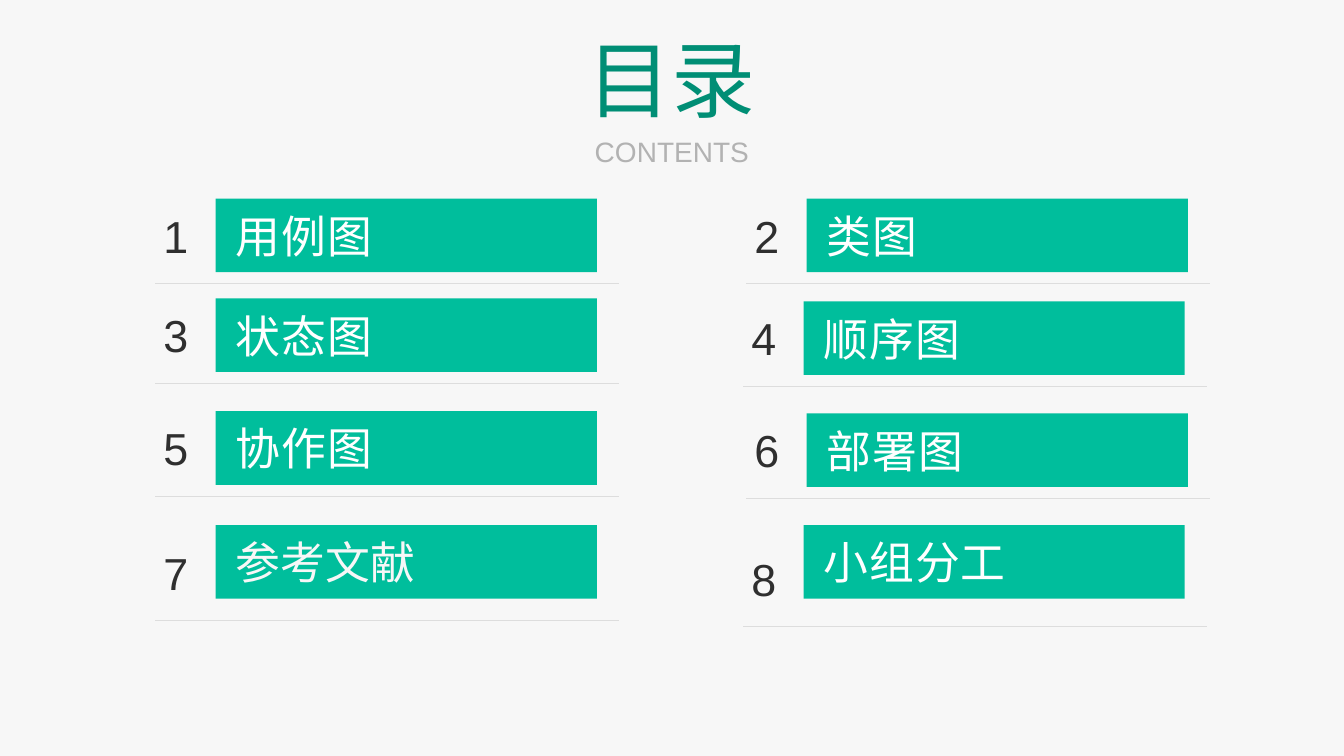
from pptx import Presentation
from pptx.dml.color import RGBColor
from pptx.enum.shapes import MSO_CONNECTOR as Connector, MSO_SHAPE as Shape
from pptx.enum.text import MSO_ANCHOR as Anchor, MSO_AUTO_SIZE as AutoSize, PP_ALIGN as Align
from pptx.oxml.ns import qn
from pptx.util import Inches, Pt

COLORS = {
    "background": "F7F7F7",
    "bar": "00BE9C",
    "title": "008E75",
    "subtitle": "B2B2B2",
    "number": "2F2F2F",
    "label": "FFFFFF",
    "last_label": "F7F7F7",
    "rule": "DDDDDD",
}

# Number, label, bar left and top, and how far the number box sits below the bar top.
# Positions are percentages of the slide width and height.
ENTRIES = [
    ("1", "用例图", 16.05, 26.27, -0.3),
    ("2", "类图", 60.02, 26.27, -0.3),
    ("3", "状态图", 16.05, 39.47, -0.3),
    ("4", "顺序图", 59.79, 39.87, -0.3),
    ("5", "协作图", 16.05, 54.4, -0.3),
    ("6", "部署图", 60.02, 54.67, -0.3),
    ("7", "参考文献", 16.05, 69.47, 1.07, "last_label", 0),
    ("8", "小组分工", 59.79, 69.47, 1.87),
]


class ContentsSlide:
    font_name = "Arial"

    def __init__(self, presentation):
        self.width = presentation.slide_width
        self.height = presentation.slide_height
        self.slide = presentation.slides.add_slide(presentation.slide_layouts[5])
        fill = self.slide.background.fill
        fill.solid()
        fill.fore_color.rgb = self.color("background")

    def color(self, name):
        return RGBColor.from_string(COLORS[name])

    def box(self, left, top, width, height):
        """Turn percentages of the slide into lengths."""
        return (int(self.width * left / 100), int(self.height * top / 100),
                int(self.width * width / 100), int(self.height * height / 100))

    def set_text(self, shape, text, size, color, align=Align.CENTER,
                 anchor=Anchor.TOP, indent=0, line_spacing=1.0, tracking=0):
        frame = shape.text_frame
        frame.text = text
        frame.word_wrap = True
        frame.auto_size = AutoSize.NONE
        frame.vertical_anchor = anchor
        frame.margin_left = Inches(indent)
        frame.margin_top = frame.margin_right = frame.margin_bottom = 0
        paragraph = frame.paragraphs[0]
        paragraph.alignment = align
        paragraph.line_spacing = line_spacing
        font = paragraph.runs[0].font
        font.name = self.font_name
        font.size = Pt(size)
        font.color.rgb = self.color(color)
        if tracking:
            paragraph.runs[0]._r.get_or_add_rPr().set("spc", str(tracking))

    def title(self, text, *position):
        shape = self.slide.shapes.title
        shape.left, shape.top, shape.width, shape.height = self.box(*position)
        self.set_text(shape, text, 60, "title")

    def subtitle(self, text, *position):
        shape = self.slide.shapes.add_textbox(*self.box(*position))
        self.set_text(shape, text, 20, "subtitle")

    def number(self, shapes, text, *position):
        shape = shapes.add_textbox(*self.box(*position))
        self.set_text(shape, text, 32, "number", anchor=Anchor.MIDDLE, line_spacing=0.9)

    def bar(self, shapes, text, color, tracking, *position):
        shape = shapes.add_shape(Shape.RECTANGLE, *self.box(*position))
        shape.shadow.inherit = False
        shape.fill.solid()
        shape.fill.fore_color.rgb = self.color("bar")
        shape.line.fill.background()
        self.set_text(shape, text, 32, color, Align.LEFT, Anchor.MIDDLE,
                      indent=0.2, tracking=tracking)

    def rule(self, shapes, left, top, width):
        x, y, length, _ = self.box(left, top, width, 0)
        line = shapes.add_connector(Connector.STRAIGHT, x, y, x + length, y)
        line.line.color.rgb = self.color("rule")
        line.line.width = Pt(0.25)
        properties = line._element.spPr
        properties.append(properties.makeelement(qn("a:effectLst"), {}))

    def entry(self, number, label, left, top, number_drop, color="label", tracking=60):
        shapes = self.slide.shapes.add_group_shape().shapes
        number_top = top + number_drop
        self.number(shapes, number, left - 5.7, number_top, 5.48, 11.2)
        self.bar(shapes, label, color, tracking, left, top, 28.36, 9.73)
        self.rule(shapes, left - 4.5, number_top + 11.5, 34.51)


def main():
    presentation = Presentation()
    presentation.slide_width = Inches(13.33)
    presentation.slide_height = Inches(7.5)
    contents = ContentsSlide(presentation)

    # Heading
    contents.title("目录", 35.78, 3.6, 28.43, 15.47)
    contents.subtitle("CONTENTS", 35.78, 17.73, 28.43, 6.93)

    # Numbered entries
    for entry in ENTRIES:
        contents.entry(*entry)

    presentation.save("out.pptx")


if __name__ == "__main__":
    main()
